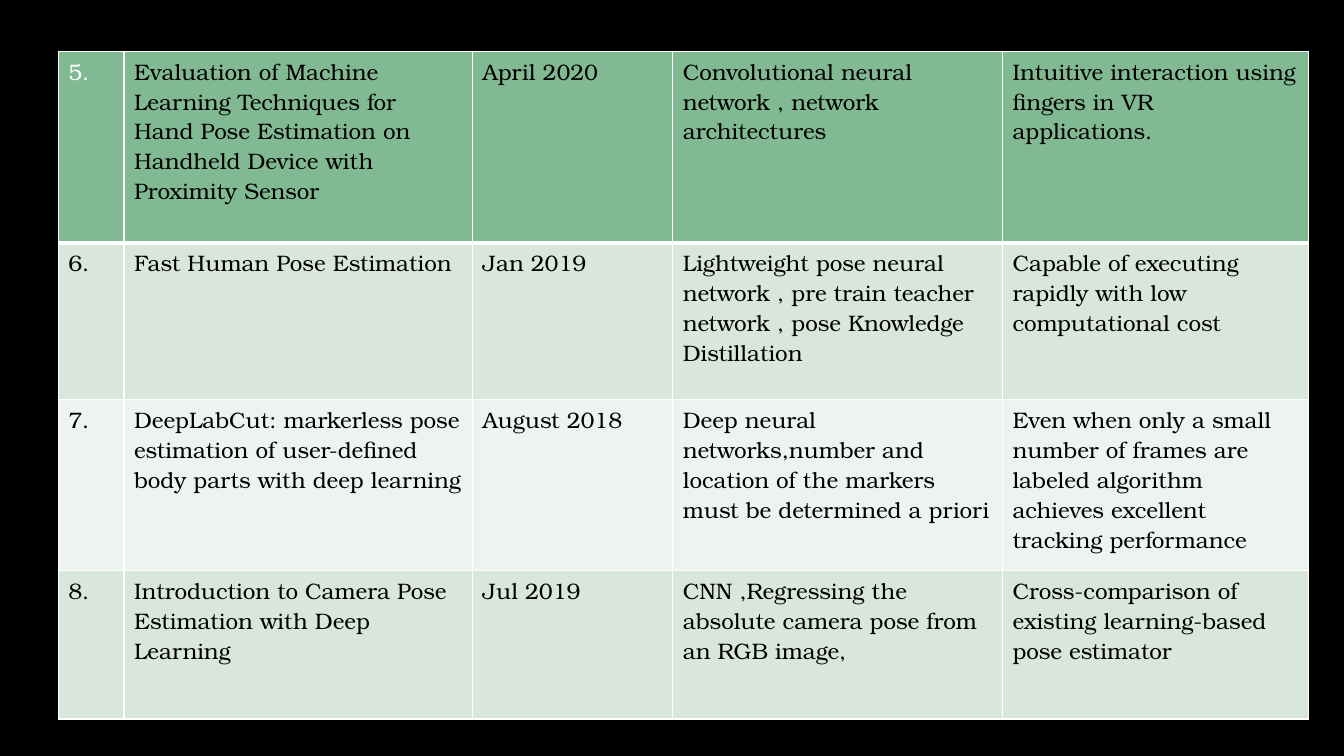
from pptx import Presentation
from pptx.dml.color import RGBColor
from pptx.oxml import parse_xml
from pptx.oxml.ns import nsdecls
from pptx.util import Pt

BLANK = 6
FONT = "TeX Gyre Bonum"
BLACK, WHITE = "000000", "FFFFFF"
HEADER, BAND, PLAIN = "81B992", "D8E6DC", "EDF3EE"

TABLE_BOX = (41.6, 36.6, 893, 477)
COL_WIDTHS = (47, 249, 143, 235.5, 218.5)
ROW_HEIGHTS = (137, 112, 122, 106)
PAPERS = (
    ("5.", "Evaluation of Machine Learning Techniques for Hand Pose Estimation "
     "on Handheld Device with Proximity Sensor", "April 2020",
     "Convolutional neural network , network architectures",
     "Intuitive interaction using fingers in VR applications."),
    ("6.", "Fast Human Pose Estimation", "Jan 2019",
     "Lightweight pose neural network , pre train teacher network , "
     "pose Knowledge Distillation",
     "Capable of executing rapidly with low computational cost"),
    ("7.", "DeepLabCut: markerless pose estimation of user-defined body parts "
     "with deep learning", "August 2018",
     "Deep neural networks,number and location of the markers must be "
     "determined a priori",
     "Even when only a small number of frames are labeled algorithm achieves "
     "excellent tracking performance"),
    ("8.", "Introduction to Camera Pose Estimation with Deep Learning", "Jul 2019",
     "CNN ,Regressing the absolute camera pose from an RGB image,",
     "Cross-comparison of existing learning-based pose estimator"),
)


def rgb(color):
    return RGBColor.from_string(color)


def set_borders(cell, widths):
    """Draw white borders; widths maps L, R, T and B to points, in that order."""
    tc_pr = cell._tc.get_or_add_tcPr()
    for side, width in widths.items():
        tc_pr.append(parse_xml(
            f'<a:ln{side} {nsdecls("a")} w="{Pt(width)}"><a:solidFill>'
            f'<a:srgbClr val="{WHITE}"/></a:solidFill></a:ln{side}>'))


def fill_cell(cell, text, fill, color, top, bottom):
    set_borders(cell, {"L": 1, "R": 1, "T": top, "B": bottom})
    cell.fill.solid()
    cell.fill.fore_color.rgb = rgb(fill)
    r = cell.text_frame.paragraphs[0].add_run()
    r.text = text
    for name, value in {"name": FONT, "size": Pt(16), "bold": False}.items():
        setattr(r.font, name, value)
    r.font.color.rgb = rgb(color)


def add_paper_table(slide, box):
    shape = slide.shapes.add_table(len(PAPERS), len(COL_WIDTHS), *map(Pt, box))
    table = shape.table
    for column, width in zip(table.columns, COL_WIDTHS):
        column.width = Pt(width)
    for row, height in zip(table.rows, ROW_HEIGHTS):
        row.height = Pt(height)
    for i, paper in enumerate(PAPERS):
        fill = HEADER if i == 0 else BAND if i % 2 else PLAIN
        for j, text in enumerate(paper):
            color = WHITE if i == j == 0 else BLACK
            fill_cell(table.cell(i, j), text, fill, color,
                      top=3 if i == 1 else 1, bottom=3 if i == 0 else 1)


def main():
    prs = Presentation()
    prs.slide_width, prs.slide_height = Pt(960), Pt(540)
    slide = prs.slides.add_slide(prs.slide_layouts[BLANK])
    slide.background.fill.solid()
    slide.background.fill.fore_color.rgb = rgb(BLACK)
    add_paper_table(slide, TABLE_BOX)
    prs.save("out.pptx")


if __name__ == "__main__":
    main()
